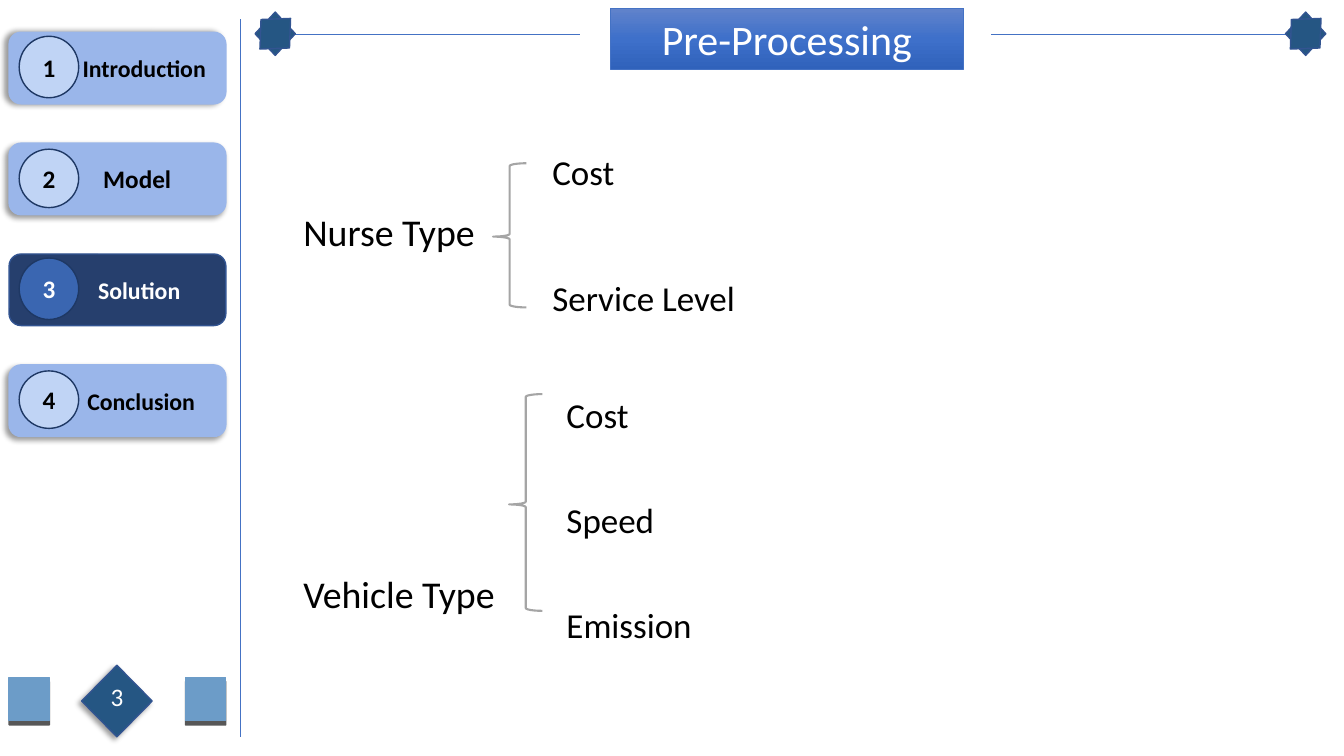
from dataclasses import dataclass

from lxml.etree import SubElement
from pptx import Presentation
from pptx.dml.color import RGBColor
from pptx.enum.shapes import MSO_CONNECTOR, MSO_SHAPE
from pptx.enum.text import MSO_ANCHOR, PP_ALIGN
from pptx.oxml import parse_xml
from pptx.oxml.ns import nsdecls, qn
from pptx.util import Inches, Pt


@dataclass(frozen=True)
class Theme:
    font: str = "Calibri"
    black: str = "000000"
    white: str = "FFFFFF"
    accent: str = "4472C4"
    outline: str = "325491"
    tab: str = "9AB6EA"
    active_tab: str = "263F6D"
    badge: str = "C0D4F5"
    active_badge: str = "3A66B1"
    badge_outline: str = "1E3864"
    ornament: str = "255683"
    square: str = "6C9CC8"
    brace: str = "A5A5A5"
    gradient: tuple = ("6183CB", "3E70CA", "3062BB")
    title_size: int = 30
    group_size: int = 27
    item_size: int = 25
    badge_size: int = 18


theme = Theme()
presentation = Presentation()
presentation.slide_width = Inches(13.33)
presentation.slide_height = Inches(7.5)
slide = presentation.slides.add_slide(presentation.slide_layouts[6])


def add_box(kind, box, fill, line, width=1, shadow=None):
    """Add a preset shape; shadow is a (direction in degrees, blur, opacity) triple."""
    shape = slide.shapes.add_shape(kind, *map(Inches, box))
    shape.shadow.inherit = False
    if fill:
        shape.fill.solid()
        shape.fill.fore_color.rgb = RGBColor.from_string(fill)
    else:
        shape.fill.background()
    shape.line.color.rgb = RGBColor.from_string(line)
    shape.line.width = Pt(width)
    if shadow:
        direction, blur, opacity = shadow
        effects = shape._element.spPr.find(qn("a:effectLst"))
        effects.append(parse_xml(
            f'<a:outerShdw {nsdecls("a")} blurRad="{Pt(blur)}" dist="{Pt(3)}" '
            f'dir="{direction * 60000}" algn="ctr" rotWithShape="0">'
            f'<a:srgbClr val="000000"><a:alpha val="{opacity * 1000}"/></a:srgbClr>'
            '</a:outerShdw>'))
    return shape


def write(shape, lines, size, color, bold=False, align=PP_ALIGN.LEFT,
          anchor=MSO_ANCHOR.TOP, gap=0, spacing=1.0):
    frame = shape.text_frame
    frame.word_wrap = True
    frame.vertical_anchor = anchor
    for index, line in enumerate(lines):
        paragraph = frame.add_paragraph() if index else frame.paragraphs[0]
        paragraph.alignment = align
        paragraph.line_spacing = spacing
        if index:
            paragraph.space_before = Pt(gap)
        run = paragraph.add_run()
        run.text = line
        run.font.name = theme.font
        run.font.size = Pt(size)
        run.font.bold = bold
        run.font.color.rgb = RGBColor.from_string(color)


# Navigation: label, type size, left inset, badge top, badge height, shadow direction
tabs = [
    ("Introduction", 17, 0.63, 0.36, 0.61, 180),
    ("Model", 18, 0.49, 1.48, 0.58, 135),
    ("Solution", 17, 0.53, 2.56, 0.61, None),
    ("Conclusion", 17, 0.57, 3.68, 0.57, 135),
]
for index, (label, size, inset, badge_top, badge_height, direction) in enumerate(tabs):
    active = label == "Solution"
    color = theme.white if active else theme.black
    tab = add_box(MSO_SHAPE.ROUNDED_RECTANGLE, (0.09, 0.32 + 1.1 * index, 2.15, 0.71),
                  theme.active_tab if active else theme.tab,
                  theme.outline if active else theme.tab,
                  shadow=None if active else (direction, 4, 40))
    tab.text_frame.margin_left = Inches(inset)
    write(tab, [label], size, color, True, PP_ALIGN.CENTER, MSO_ANCHOR.MIDDLE)
    badge = add_box(MSO_SHAPE.OVAL, (0.19, badge_top, 0.59, badge_height),
                    theme.active_badge if active else theme.badge, theme.badge_outline)
    write(badge, [str(index + 1)], theme.badge_size, color, True,
          PP_ALIGN.CENTER, MSO_ANCHOR.MIDDLE)

# Page number ornament
for left in (0.09, 1.84):
    add_box(MSO_SHAPE.RECTANGLE, (left, 6.72, 0.4, 0.43), theme.square, theme.square,
            shadow=(90, 0, 65))
add_box(MSO_SHAPE.DIAMOND, (0.81, 6.6, 0.7, 0.71), theme.ornament, theme.outline,
        shadow=(135, 4, 40))

# Rules and stars around the title
for x1, y1, x2, y2 in [(2.38, 0.19, 2.38, 7.31),
                       (2.93, 0.34, 5.75, 0.34),
                       (9.83, 0.34, 12.75, 0.34)]:
    rule = slide.shapes.add_connector(MSO_CONNECTOR.STRAIGHT, Inches(x1), Inches(y1),
                                      Inches(x2), Inches(y2))
    rule.line.color.rgb = RGBColor.from_string(theme.accent)
    rule.line.width = Pt(0.5)
    SubElement(rule._element.spPr, qn("a:effectLst"))
for left in (2.53, 12.75):
    for angle in (0, 45):
        star = add_box(MSO_SHAPE.DIAMOND, (left, 0.12, 0.4, 0.43),
                       theme.ornament, theme.outline)
        star.rotation = angle

title = add_box(MSO_SHAPE.RECTANGLE, (6.05, 0.08, 3.51, 0.61),
                theme.accent, theme.accent, 0.5)
properties = title._element.spPr
stops = "".join(f'<a:gs pos="{index * 50000}"><a:srgbClr val="{color}"/></a:gs>'
                for index, color in enumerate(theme.gradient))
properties.replace(properties.find(qn("a:solidFill")), parse_xml(
    f'<a:gradFill {nsdecls("a")} rotWithShape="1"><a:gsLst>{stops}</a:gsLst>'
    '<a:lin ang="5400000" scaled="0"/></a:gradFill>'))
write(title, ["Pre-Processing"], theme.title_size, theme.white, align=PP_ALIGN.CENTER)

# Type groups with their braces
for box in [(4.89, 1.62, 0.33, 1.43), (5.05, 3.91, 0.33, 2.15)]:
    brace = add_box(MSO_SHAPE.LEFT_BRACE, box, None, theme.brace, 1.5)
    brace.adjustments[0] = 0.083
    brace.adjustments[1] = 0.509

# Texts: box, lines, size, colour, gap before later lines, line spacing
texts = [
    ((2.91, 2.02, 2.14, 3.28), ["Nurse Type", "Vehicle Type"],
     theme.group_size, theme.black, 226, 1.0),
    ((5.38, 1.44, 2.14, 1.78), ["Cost", "Service Level"],
     theme.item_size, theme.black, 60, 1.0),
    ((5.52, 3.23, 2.58, 3.09), ["Cost", "Speed", "Emission"],
     theme.item_size, theme.black, 0, 2.5),
    ((1, 6.71, 0.4, 0.4), ["3"], theme.badge_size, theme.white, 0, 1.0),
]
for box, lines, size, color, gap, spacing in texts:
    text_box = slide.shapes.add_textbox(*map(Inches, box))
    write(text_box, lines, size, color, gap=gap, spacing=spacing)

presentation.save("out.pptx")
